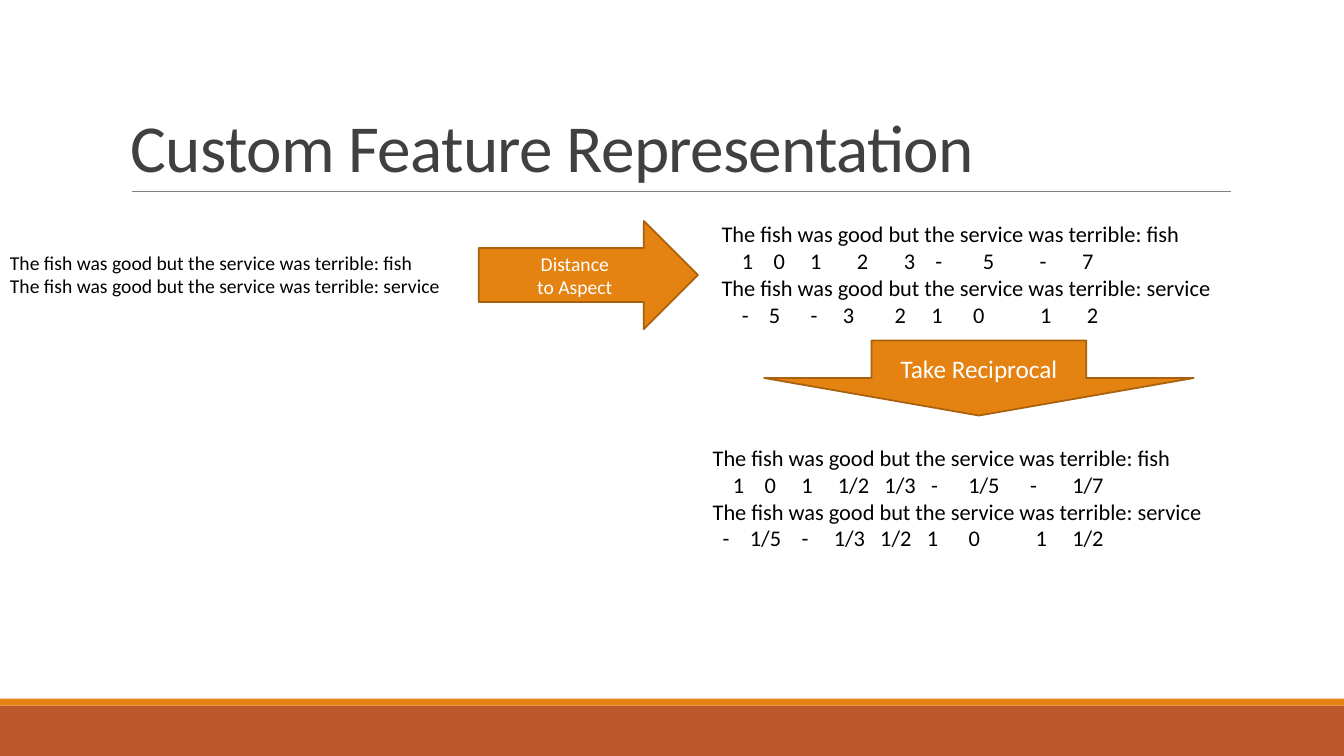
from dataclasses import dataclass

from lxml.etree import SubElement
from pptx import Presentation
from pptx.dml.color import RGBColor
from pptx.enum.shapes import MSO_CONNECTOR, MSO_SHAPE
from pptx.enum.text import MSO_ANCHOR, PP_ALIGN
from pptx.oxml.ns import qn
from pptx.shapes.autoshape import Shape
from pptx.util import Pt

ORANGE = RGBColor(0xE4, 0x83, 0x12)
DARK_ORANGE = RGBColor(0xA9, 0x61, 0x0D)
RUST = RGBColor(0xBD, 0x58, 0x2C)
GRAY = RGBColor(0x80, 0x80, 0x80)
CHARCOAL = RGBColor(0x40, 0x40, 0x40)
BLACK = RGBColor(0, 0, 0)
WHITE = RGBColor(0xFF, 0xFF, 0xFF)

FISH = "The fish was good but the service was terrible: fish"
SERVICE = "The fish was good but the service was terrible: service"


@dataclass(frozen=True)
class Box:
    left: float
    top: float
    width: float
    height: float

    def lengths(self) -> tuple[Pt, Pt, Pt, Pt]:
        return Pt(self.left), Pt(self.top), Pt(self.width), Pt(self.height)


@dataclass(frozen=True)
class Line:
    text: str
    tabs: tuple[float, ...] = ()


@dataclass(frozen=True)
class Arrow:
    preset: MSO_SHAPE
    box: Box
    lines: list[Line]
    size: float


@dataclass(frozen=True)
class TextBlock:
    box: Box
    lines: list[Line]
    size: float
    wrap: bool = True
    color: RGBColor = BLACK
    anchor: MSO_ANCHOR = MSO_ANCHOR.TOP


def scores(values: str, *tabs: float) -> Line:
    """Put each value at its own tab stop."""
    return Line("".join(f"\t{value}" for value in values.split()), tabs)


def write_lines(shape: Shape, lines: list[Line], size: float, color: RGBColor,
                alignment: PP_ALIGN = PP_ALIGN.LEFT) -> None:
    font_format = {"name": "Calibri", "size": Pt(size)}
    frame = shape.text_frame
    for index, line in enumerate(lines):
        paragraph = frame.add_paragraph() if index else frame.paragraphs[0]
        paragraph.alignment = alignment
        run = paragraph.add_run()
        run.text = line.text
        for name, value in font_format.items():
            setattr(run.font, name, value)
        run.font.color.rgb = color
        if line.tabs:
            tab_list = SubElement(paragraph._p.get_or_add_pPr(), qn("a:tabLst"))
            for position in line.tabs:
                SubElement(tab_list, qn("a:tab"), pos=str(Pt(position)), algn="l")


def add_filled_shape(preset: MSO_SHAPE, box: Box, fill: RGBColor) -> Shape:
    shape = slide.shapes.add_shape(preset, *box.lengths())
    shape.shadow.inherit = False
    shape.fill.solid()
    shape.fill.fore_color.rgb = fill
    shape.line.fill.background()
    return shape


def add_arrow(arrow: Arrow) -> None:
    shape = add_filled_shape(arrow.preset, arrow.box, ORANGE)
    shape.line.color.rgb = DARK_ORANGE
    shape.line.width = Pt(1.25)
    shape.text_frame.vertical_anchor = MSO_ANCHOR.MIDDLE
    write_lines(shape, arrow.lines, arrow.size, WHITE, PP_ALIGN.CENTER)


def add_text(block: TextBlock) -> Shape:
    shape = slide.shapes.add_textbox(*block.box.lengths())
    shape.text_frame.word_wrap = block.wrap
    shape.text_frame.vertical_anchor = block.anchor
    write_lines(shape, block.lines, block.size, block.color)
    return shape


presentation = Presentation()
presentation.slide_width, presentation.slide_height = Pt(960), Pt(540)
slide = presentation.slides.add_slide(presentation.slide_layouts[6])

# Footer bands
add_filled_shape(MSO_SHAPE.RECTANGLE, Box(0, 504, 960, 36), RUST)
add_filled_shape(MSO_SHAPE.RECTANGLE, Box(0, 499, 960, 5), ORANGE)

# Title with its rule
rule = slide.shapes.add_connector(
    MSO_CONNECTOR.STRAIGHT, Pt(94.3), Pt(136.8), Pt(879), Pt(136.8))
rule.line.color.rgb = GRAY
rule.line.width = Pt(0.5)
SubElement(rule._element.spPr, qn("a:effectLst"))

title = add_text(TextBlock(
    Box(86.4, 22.6, 792, 114.2), [Line("Custom Feature Representation")], 48,
    color=CHARCOAL, anchor=MSO_ANCHOR.BOTTOM))
title_paragraph = title.text_frame.paragraphs[0]
title_paragraph.line_spacing = 0.85
title_paragraph.runs[0].font._element.set("spc", "-50")

# Sentences, then distances, then reciprocals
text_blocks = [
    TextBlock(Box(0, 175.6, 324.7, 41.2), [Line(FISH), Line(SERVICE)], 14, wrap=False),
    TextBlock(Box(508.4, 154, 413.3, 85), [
        Line(FISH),
        scores("1 0 1 2 3 - 5 - 7",
               14.5, 37.1, 63.3, 96.7, 130.1, 152.7, 186.6, 227.2, 257.5),
        Line(SERVICE),
        scores("- 5 - 3 2 1 0 1 2",
               14.5, 33.8, 63.6, 86.6, 123.6, 149.8, 179.6, 227.5, 260.9),
    ], 16),
    TextBlock(Box(502, 313.6, 413.3, 85), [
        Line(FISH),
        scores("1 0 1 1/2 1/3 - 1/5 - 1/7",
               14.5, 37.1, 63.3, 89.5, 122.7, 156, 182.6, 226.7, 256.9),
        Line(SERVICE),
        scores("- 1/5 - 1/3 1/2 1 0 1 1/2",
               7.2, 26.6, 63.5, 86.5, 119.7, 153, 182.8, 230.7, 256.9),
    ], 16),
]
for text_block in text_blocks:
    add_text(text_block)

# Step arrows
step_arrows = [
    Arrow(MSO_SHAPE.RIGHT_ARROW, Box(342, 157.9, 156.5, 77.2),
          [Line("Distance"), Line("to Aspect")], 14),
    Arrow(MSO_SHAPE.DOWN_ARROW, Box(545.8, 243.2, 306.9, 53.6),
          [Line("Take Reciprocal")], 18),
]
for step_arrow in step_arrows:
    add_arrow(step_arrow)

presentation.save("out.pptx")
